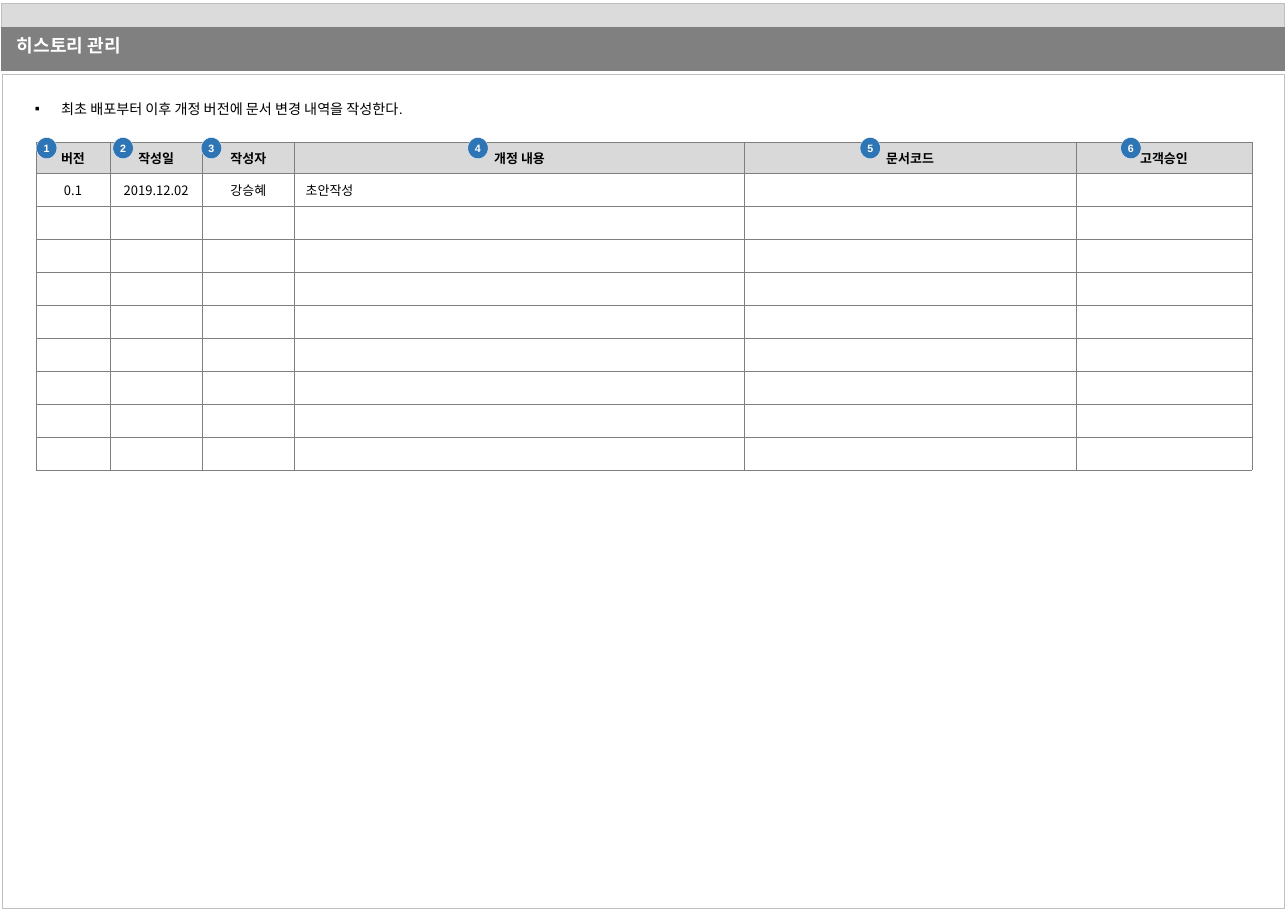
"""Build the document history management slide."""
from lxml import etree
from pptx import Presentation, util as u
from pptx.dml.color import RGBColor
from pptx.enum import shapes, text
from pptx.oxml.ns import qn

WHITE = RGBColor(0xFF, 0xFF, 0xFF)
BLACK = RGBColor(0x00, 0x00, 0x00)
BLUE = RGBColor(0x2E, 0x75, 0xB6)
DARK_GRAY = RGBColor(0x80, 0x80, 0x80)
LIGHT_GRAY = RGBColor(0xDB, 0xDB, 0xDB)
HEADER_GRAY = RGBColor(0xD9, 0xD9, 0xD9)
BORDER_GRAY = RGBColor(0x7F, 0x7F, 0x7F)
FRAME_GRAY = RGBColor(0xC0, 0xC0, 0xC0)
BAND_LINE = RGBColor(0xBF, 0xBF, 0xBF)

KOREAN_FONT = "Noto Sans CJK KR"
LATIN_FONT = "Arial"

COLUMN_WIDTHS = [0.88, 1.08, 1.09, 5.3, 3.9, 2.08]
ROW_HEIGHTS = [0.37] + [0.39] * 4 + [0.38] + [0.39] * 4
HEADERS = ["버전", "작성일", "작성자", "개정 내용", "문서코드", "고객승인"]
FIRST_ENTRY = ["0.1", "2019.12.02", "강승혜", "초안작성"]
BADGE_LEFTS = [0.43, 1.33, 2.37, 5.51, 10.13, 13.2]


class HistorySlide:
    def __init__(self, deck):
        self.page = deck.slides.add_slide(deck.slide_layouts[1])

    def style(self, para, size, color, bold=False, font=KOREAN_FONT):
        for span in para.runs:
            span.font.size = u.Pt(size)
            span.font.bold = bold
            span.font.name = font
            span.font.color.rgb = color
            east_asian = etree.Element(qn("a:ea"), typeface=KOREAN_FONT)
            span.font._element.find(qn("a:latin")).addnext(east_asian)

    def place(self, box, left, top, width, height):
        box.left, box.top = u.Inches(left), u.Inches(top)
        box.width, box.height = u.Inches(width), u.Inches(height)
        self.page.shapes._spTree.append(box._element)

    def margins(self, target, horizontal, vertical):
        target.margin_left = target.margin_right = u.Inches(horizontal)
        target.margin_top = target.margin_bottom = u.Inches(vertical)

    def shape(self, kind, left, top, width, height, fill, line, weight):
        box = self.page.shapes.add_shape(
            kind, u.Inches(left), u.Inches(top), u.Inches(width), u.Inches(height))
        box.shadow.inherit = False
        if fill is None:
            box.fill.background()
        else:
            box.fill.solid()
            box.fill.fore_color.rgb = fill
        box.line.color.rgb = line
        box.line.width = u.Pt(weight)
        return box

    def title(self, words):
        box = self.page.shapes.title
        self.place(box, 0, 0.31, 14.28, 0.48)
        frame = box.text_frame
        frame.text = words
        frame.auto_size = text.MSO_AUTO_SIZE.NONE
        frame.vertical_anchor = text.MSO_ANCHOR.MIDDLE
        self.margins(frame, 0.12, 0.06)
        frame.margin_left = u.Inches(0.2)
        para = frame.paragraphs[0]
        para.alignment = text.PP_ALIGN.LEFT
        para.line_spacing = 0.9
        self.style(para, 15.3, WHITE, True)

    def bullet(self, words):
        box = self.page.placeholders[1]
        self.place(box, 0.31, 1.13, 5.03, 0.3)
        frame = box.text_frame
        frame.text = words
        frame.word_wrap = True
        frame.auto_size = text.MSO_AUTO_SIZE.SHAPE_TO_FIT_TEXT
        para = frame.paragraphs[0]
        properties = para._p.get_or_add_pPr()
        properties.set("marL", str(u.Inches(0.31)))
        properties.set("indent", str(-u.Inches(0.31)))
        etree.SubElement(properties, qn("a:buChar"), char="▪")
        para.space_before = u.Pt(0)
        self.style(para, 12, BLACK, font=LATIN_FONT)

    def cell(self, cell, words, header, align):
        properties = cell._tc.get_or_add_tcPr()
        for side in ("L", "R", "T", "B"):
            line = etree.SubElement(properties, qn(f"a:ln{side}"), w=str(u.Pt(0.25)))
            solid = etree.SubElement(line, qn("a:solidFill"))
            etree.SubElement(solid, qn("a:srgbClr"), val=str(BORDER_GRAY))
        cell.fill.solid()
        cell.fill.fore_color.rgb = HEADER_GRAY if header else WHITE
        cell.vertical_anchor = text.MSO_ANCHOR.MIDDLE
        self.margins(cell, 0.13, 0.07)
        para = cell.text_frame.paragraphs[0]
        para.alignment = align
        if words:
            para.text = words
            self.style(para, 11, BLACK, header)
        else:
            etree.SubElement(para._p, qn("a:endParaRPr"), sz="1100")

    def table(self, rows):
        grid = self.page.shapes.add_table(
            len(ROW_HEIGHTS), len(COLUMN_WIDTHS), u.Inches(0.42), u.Inches(1.67),
            u.Inches(sum(COLUMN_WIDTHS)), u.Inches(sum(ROW_HEIGHTS))).table
        grid.first_row = grid.horz_banding = False
        for column, width in zip(grid.columns, COLUMN_WIDTHS):
            column.width = u.Inches(width)
        for row, height in zip(grid.rows, ROW_HEIGHTS):
            row.height = u.Inches(height)
        for r in range(len(ROW_HEIGHTS)):
            words = rows[r] if r < len(rows) else []
            for c in range(len(COLUMN_WIDTHS)):
                left = r > 0 and c == 3
                align = text.PP_ALIGN.LEFT if left else text.PP_ALIGN.CENTER
                self.cell(grid.cell(r, c), words[c] if c < len(words) else "", r == 0, align)

    def badge(self, number, left):
        box = self.shape(shapes.MSO_SHAPE.OVAL, left, 1.62, 0.24, 0.25, BLUE, WHITE, 0.25)
        frame = box.text_frame
        frame.text = str(number)
        frame.vertical_anchor = text.MSO_ANCHOR.MIDDLE
        self.margins(frame, 0, 0)
        frame.paragraphs[0].alignment = text.PP_ALIGN.CENTER
        self.style(frame.paragraphs[0], 9, WHITE, True, LATIN_FONT)


def main():
    deck = Presentation()
    deck.slide_width, deck.slide_height = u.Inches(15.17), u.Inches(10.71)
    history = HistorySlide(deck)
    rectangle = shapes.MSO_SHAPE.RECTANGLE
    history.shape(rectangle, 0.03, 0.88, 15.1, 9.83, None, FRAME_GRAY, 0.75)
    history.shape(rectangle, 0.02, 0.04, 15.11, 0.31, LIGHT_GRAY, BAND_LINE, 1)
    history.shape(rectangle, 0.02, 0.32, 15.11, 0.51, DARK_GRAY, DARK_GRAY, 1)
    history.title("히스토리 관리")
    history.bullet("최초 배포부터 이후 개정 버전에 문서 변경 내역을 작성한다.")
    history.table([HEADERS, FIRST_ENTRY])
    for number, left in enumerate(BADGE_LEFTS, 1):
        history.badge(number, left)
    deck.save("out.pptx")


if __name__ == "__main__":
    main()
